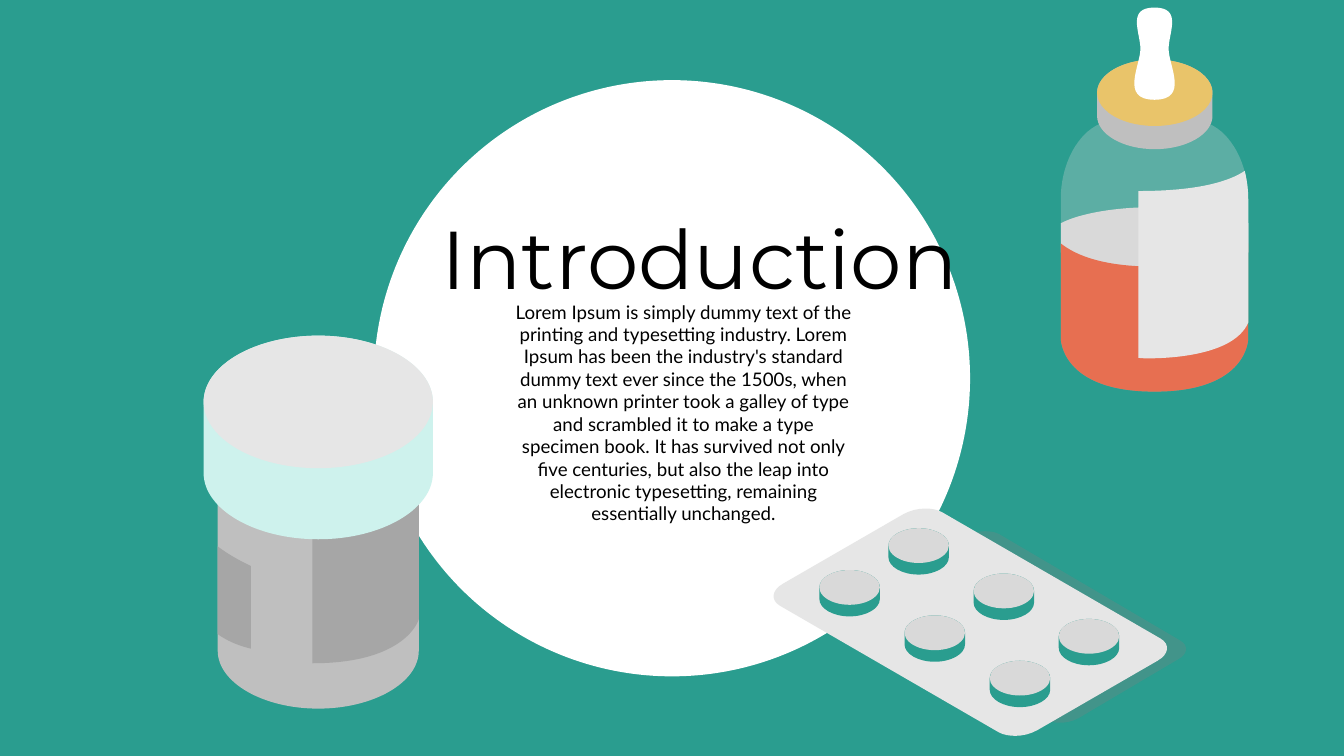
from dataclasses import dataclass
from typing import NamedTuple, Optional

from lxml import etree
from pptx import Presentation, util as u
from pptx.dml.color import RGBColor
from pptx.enum import shapes, text
from pptx.oxml.ns import qn

COLUMNS, ROWS = 26.67, 15
CELL = u.Inches(1)
ARC_HANDLE = 0.55


@dataclass(frozen=True)
class Theme:
    teal: str = "2A9D8F"
    white: str = "FFFFFF"
    black: str = "000000"
    mint: str = "CEF2ED"
    coral: str = "E76F51"
    amber: str = "E9C46A"
    pale: str = "E6E6E6"
    light: str = "D9D9D9"
    silver: str = "BFBFBF"
    grey: str = "A6A6A6"
    shadow: str = "808080"
    translucent: int = 29
    title_font: str = "Montserrat"
    body_font: str = "Lato"
    title_size: float = 117
    body_size: float = 26.7


class Box(NamedTuple):
    column: float
    row: float
    width: float
    height: float


@dataclass(frozen=True)
class Outline:
    segments: tuple
    color: str
    opacity: int = 100
    symmetry: str = "none"


@dataclass(frozen=True)
class Cylinder:
    cap: Box
    wall: float
    side_color: str
    cap_color: Optional[str] = None


THEME = Theme()
CIRCLE = Box(7.42, 1.59, 11.83, 11.83)
TITLE = Box(6.59, 3.84, 14.59, 1.67)
BODY = Box(9.92, 5.69, 7.29, 4.69)
BODY_TEXT = (
    "Lorem Ipsum is simply dummy text of the printing and typesetting industry. "
    "Lorem Ipsum has been the industry's standard dummy text ever since the 1500s, "
    "when an unknown printer took a galley of type and scrambled it to make a type "
    "specimen book. It has survived not only five centuries, but also the leap into "
    "electronic typesetting, remaining essentially unchanged."
)

TRAY_SHADOW = Outline((
    (19.55, 10.54), (19.43, 10.54, 19.3, 10.57, 19.19, 10.63), (17.21, 11.8),
    (17.02, 11.9, 17, 12.07, 17.17, 12.17), (20.76, 14.28),
    (20.83, 14.32, 20.93, 14.34, 21.04, 14.34),
), THEME.shadow, THEME.translucent, "rotate")
TRAY = Outline((
    (18.36, 10.09), (18.21, 10.09, 18.06, 10.13, 17.93, 10.2), (15.54, 11.58),
    (15.31, 11.71, 15.29, 11.91, 15.48, 12.02), (19.82, 14.53),
    (19.91, 14.58, 20.03, 14.6, 20.15, 14.6),
), THEME.pale, symmetry="rotate")
PILLS = [
    Cylinder(Box(17.63 + 1.69 * along - 1.37 * across,
                 10.48 + 0.9 * along + 0.83 * across, 1.2, 0.69),
             0.23, THEME.teal, THEME.light)
    for along in (2, 1, 0) for across in (0, 1)
]
JAR = [
    Cylinder(Box(4.32, 8.25, 3.99, 2.3), 3.51, THEME.silver),
    Outline(((4.32, 10.84), (4.32, 12.58), (4.32, 12.58, 4.55, 12.77, 4.98, 12.87),
             (4.98, 11.23), (4.98, 11.23, 4.6, 11.06, 4.32, 10.84)), THEME.grey),
    Outline(((8.3, 9.29), (6.2, 10.02), (6.2, 13.16),
             (8.07, 13.16, 8.31, 12.29, 8.31, 12.29), (8.31, 9.4)), THEME.grey),
    Cylinder(Box(4.04, 6.66, 4.55, 2.63), 1.41, THEME.mint, THEME.pale),
]
BOTTLE_BASE = ((21.05, 6.71), (21.05, 6.71, 21.04, 7.77, 22.91, 7.77))
BOTTLE = [
    Outline(((22.91, 2.19), (22.91, 2.19, 22.5, 2.19, 21.84, 2.45),
             (21.58, 2.56, 21.41, 2.77, 21.29, 2.98),
             (21.13, 3.27, 21.05, 3.61, 21.05, 3.95), *BOTTLE_BASE),
            THEME.light, THEME.translucent, "mirror"),
    Outline(((22.91, 4.11), (22.11, 4.11, 21.41, 4.24, 21.05, 4.43), (21.05, 5.01),
             (21.41, 5.2, 22.11, 5.32, 22.91, 5.32)), THEME.light, symmetry="mirror"),
    Outline(((22.91, 5.29), (21.9, 5.29, 21.35, 5.07, 21.05, 4.83), *BOTTLE_BASE),
            THEME.coral, symmetry="mirror"),
    Cylinder(Box(21.77, 1.18, 2.29, 1.32), 0.46, THEME.silver, THEME.amber),
    Outline(((22.91, 0.15), (22.35, 0.15, 22.63, 0.65, 22.63, 0.97),
             (22.63, 1.3, 22.22, 1.98, 22.91, 1.98)), THEME.white, symmetry="mirror"),
    Outline(((24.7, 3.39), (24.42, 3.58, 23.83, 3.79, 22.59, 3.79), (22.59, 7.1),
             (22.59, 7.1, 22.66, 7.11, 22.77, 7.11),
             (23.23, 7.11, 24.49, 7.05, 24.77, 6.4), (24.77, 3.95),
             (24.77, 3.75, 24.74, 3.55, 24.7, 3.39)), THEME.pale),
]


def emu(cells: float) -> int:
    return round(cells * CELL)


def place(shape, box: Box) -> None:
    shape.left, shape.top, shape.width, shape.height = map(emu, box)


def paint(shape, color: str, opacity: int = 100) -> None:
    shape.shadow.inherit = False
    shape.fill.solid()
    shape.fill.fore_color.rgb = RGBColor.from_string(color)
    shape.line.fill.background()
    if opacity < 100:
        fill_color = shape.element.spPr.find(qn("a:solidFill")).find(qn("a:srgbClr"))
        etree.SubElement(fill_color, qn("a:alpha"), val=str(opacity * 1000))


def draw_ellipse(canvas, box: Box, color: str):
    shape = canvas.add_shape(shapes.MSO_SHAPE.OVAL, *map(emu, box))
    paint(shape, color)
    return shape


def bend(shape, counts: list) -> None:
    lines = iter(list(shape.element.iter(qn("a:lnTo"))))
    for count in counts:
        group = [next(lines) for _ in range(count)]
        if count == 3:
            curve = etree.Element(qn("a:cubicBezTo"))
            group[0].addprevious(curve)
            for line in group:
                curve.append(line[0])
                line.getparent().remove(line)


def draw_outline(canvas, outline: Outline) -> None:
    points = [segment[i:i + 2] for segment in outline.segments
              for i in range(0, len(segment), 2)]
    counts = [len(segment) // 2 for segment in outline.segments[1:]]
    (first_x, first_y), (last_x, last_y) = points[0], points[-1]
    if outline.symmetry == "mirror":
        points += [(2 * first_x - x, y) for x, y in points[-2::-1]]
        counts += counts[::-1]
    elif outline.symmetry == "rotate":
        points += [(first_x + last_x - x, first_y + last_y - y) for x, y in points]
        counts += [1] + counts
    corners = [(emu(x), emu(y)) for x, y in points]
    builder = canvas.build_freeform(*corners[0])
    builder.add_line_segments(corners[1:], close=True)
    shape = builder.convert_to_shape()
    bend(shape, counts)
    paint(shape, outline.color, outline.opacity)


def draw_cylinder(canvas, cylinder: Cylinder) -> None:
    left, top, width, height = cylinder.cap
    center, shoulder = left + width / 2, top + height / 2
    foot, bottom = shoulder + cylinder.wall, top + height + cylinder.wall
    reach_x, reach_y = ARC_HANDLE * width / 2, ARC_HANDLE * height / 2
    draw_outline(canvas, Outline((
        (center, top),
        (center - reach_x, top, left, shoulder - reach_y, left, shoulder),
        (left, foot),
        (left, foot + reach_y, center - reach_x, bottom, center, bottom),
    ), cylinder.side_color, symmetry="mirror"))
    if cylinder.cap_color:
        draw_ellipse(canvas, cylinder.cap, cylinder.cap_color)


def draw_group(slide, parts: list) -> None:
    canvas = slide.shapes.add_group_shape().shapes
    for part in parts:
        draw = draw_cylinder if isinstance(part, Cylinder) else draw_outline
        draw(canvas, part)


def write(placeholder, box: Box, content: str, font: str, size: float) -> None:
    place(placeholder, box)
    frame = placeholder.text_frame
    frame.word_wrap = True
    frame.auto_size = text.MSO_AUTO_SIZE.NONE
    frame.vertical_anchor = text.MSO_ANCHOR.TOP
    frame.margin_left = frame.margin_right = emu(0.27)
    frame.margin_top = frame.margin_bottom = emu(0.27)
    paragraph = frame.paragraphs[0]
    paragraph.alignment = text.PP_ALIGN.CENTER
    paragraph.space_before = u.Pt(0)
    run = paragraph.add_run()
    run.text = content
    run.font.name = font
    run.font.size = u.Pt(size)
    run.font.color.rgb = RGBColor.from_string(THEME.black)


def main() -> None:
    presentation = Presentation()
    presentation.slide_width, presentation.slide_height = emu(COLUMNS), emu(ROWS)
    slide = presentation.slides.add_slide(presentation.slide_layouts[0])
    slide.background.fill.solid()
    slide.background.fill.fore_color.rgb = RGBColor.from_string(THEME.teal)
    title, body = slide.shapes.title, slide.placeholders[1]
    circle = draw_ellipse(slide.shapes, CIRCLE, THEME.white)
    title.element.addprevious(circle.element)
    write(body, BODY, BODY_TEXT, THEME.body_font, THEME.body_size)
    write(title, TITLE, "Introduction", THEME.title_font, THEME.title_size)
    draw_outline(slide.shapes, TRAY_SHADOW)
    for parts in (JAR, [TRAY, *PILLS], BOTTLE):
        draw_group(slide, parts)
    presentation.save("out.pptx")


if __name__ == "__main__":
    main()
